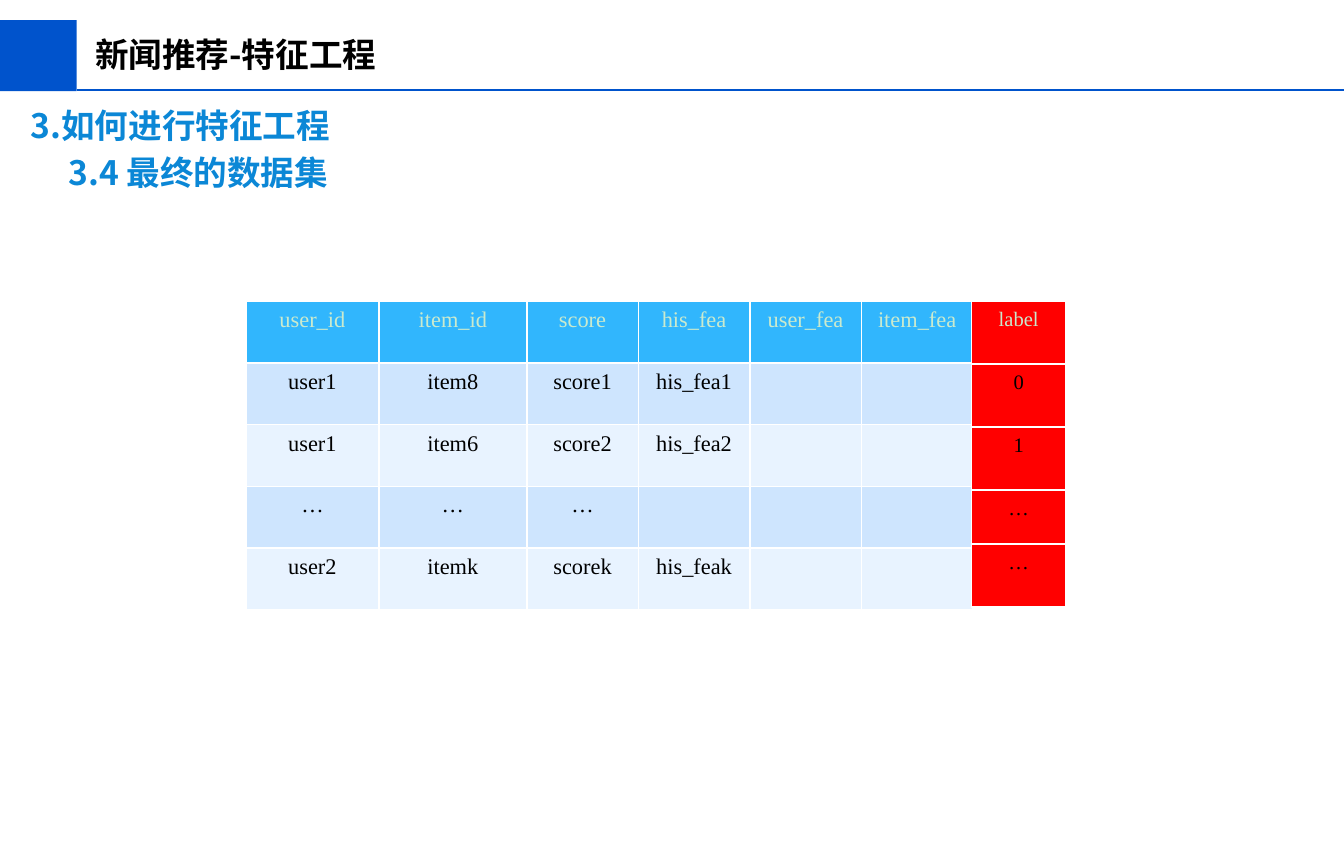
from dataclasses import dataclass

from lxml import etree
from pptx import Presentation, util as u
from pptx.dml.color import RGBColor
from pptx.enum import shapes, text
from pptx.oxml import ns

COLS, ROWS = 1000, 626
UNIT = u.Inches(10) // COLS
HUES = {
    "brand": "0053CC",
    "title": "000000",
    "topic": "0B87D6",
    "head": "31B6FD",
    "odd": "CEE5FE",
    "even": "E8F3FF",
    "label": "FF0000",
    "pale": "CAEACE",
    "rule": "FFFFFF",
}
SANS, SERIF = "Noto Sans CJK SC", "Times New Roman"


@dataclass
class Line:
    words: str
    col: int
    row: int
    wide: int
    hue: str


@dataclass
class Grid:
    col: int
    row: int
    wides: list[int]
    highs: list[int]
    cells: list[list[str]]
    fills: list[str]
    size: int


LINES = [
    Line("新闻推荐-特征工程", 61, 20, 360, "title"),
    Line("3.如何进行特征工程", 13, 73, 360, "topic"),
    Line("3.4 最终的数据集", 41, 108, 529, "topic"),
]

GRIDS = [
    Grid(
        183, 224, [99, 110] + [83] * 4, [46] * 5,
        [
            ["user_id", "item_id", "score", "his_fea", "user_fea", "item_fea"],
            ["user1", "item8", "score1", "his_fea1", "", ""],
            ["user1", "item6", "score2", "his_fea2", "", ""],
            ["…", "…", "…", "", "", ""],
            ["user2", "itemk", "scorek", "his_feak", "", ""],
        ],
        ["head", "odd", "even", "odd", "even"], 12,
    ),
    Grid(
        723, 224, [70], [47, 47, 47, 40, 47],
        [["label"], ["0"], ["1"], ["…"], ["…"]],
        ["label"] * 5, 11,
    ),
]


def tint(name: str) -> RGBColor:
    return RGBColor.from_string(HUES[name])


def style(para, face: str, size: int, hue: str, bold: bool = False) -> None:
    for run in para.runs:
        font = run.font
        font.name, font.size, font.bold = face, u.Pt(size), bold
        font.color.rgb = tint(hue)
        east = etree.SubElement(run._r.get_or_add_rPr(), ns.qn("a:ea"))
        east.set("typeface", face)


def draw_band(slide) -> None:
    block = slide.shapes.add_shape(
        shapes.MSO_SHAPE.RECTANGLE, 0, 15 * UNIT, 57 * UNIT, 53 * UNIT)
    block.shadow.inherit = False
    block.fill.solid()
    block.fill.fore_color.rgb = tint("brand")
    block.line.fill.background()
    rule = slide.shapes.add_connector(
        shapes.MSO_CONNECTOR.STRAIGHT,
        57 * UNIT, 67 * UNIT, COLS * UNIT, 67 * UNIT)
    rule.line.color.rgb = tint("brand")
    rule.line.width = u.Pt(1)
    etree.SubElement(rule._element.spPr, ns.qn("a:effectLst"))


def draw_line(slide, line: Line) -> None:
    box = slide.shapes.add_textbox(
        line.col * UNIT, line.row * UNIT, line.wide * UNIT, 40 * UNIT)
    frame = box.text_frame
    frame.word_wrap = True
    frame.auto_size = text.MSO_AUTO_SIZE.SHAPE_TO_FIT_TEXT
    frame.text = line.words
    style(frame.paragraphs[0], SANS, 18, line.hue, True)


def edge(cell) -> None:
    props = cell._tc.get_or_add_tcPr()
    for side in ("lnL", "lnR", "lnT", "lnB"):
        rule = etree.SubElement(props, ns.qn(f"a:{side}"), w=str(u.Pt(1)))
        fill = etree.SubElement(rule, ns.qn("a:solidFill"))
        etree.SubElement(fill, ns.qn("a:srgbClr"), val=HUES["rule"])


def draw_grid(slide, grid: Grid) -> None:
    table = slide.shapes.add_table(
        len(grid.highs), len(grid.wides), grid.col * UNIT, grid.row * UNIT,
        sum(grid.wides) * UNIT, sum(grid.highs) * UNIT).table
    table.horz_banding = False
    table.first_row = False
    for col, wide in zip(table.columns, grid.wides):
        col.width = wide * UNIT
    for row, high in zip(table.rows, grid.highs):
        row.height = high * UNIT
    for r, (words, fill) in enumerate(zip(grid.cells, grid.fills)):
        for c, word in enumerate(words):
            cell = table.cell(r, c)
            edge(cell)
            cell.fill.solid()
            cell.fill.fore_color.rgb = tint(fill)
            if word:
                cell.text_frame.text = word
                para = cell.text_frame.paragraphs[0]
                para.alignment = text.PP_ALIGN.CENTER
                style(para, SERIF, grid.size, "title" if r else "pale")


def main() -> None:
    deck = Presentation()
    deck.slide_width, deck.slide_height = COLS * UNIT, ROWS * UNIT
    slide = deck.slides.add_slide(deck.slide_layouts[6])
    draw_band(slide)
    for line in LINES:
        draw_line(slide, line)
    for grid in GRIDS:
        draw_grid(slide, grid)
    deck.save("out.pptx")


if __name__ == "__main__":
    main()
